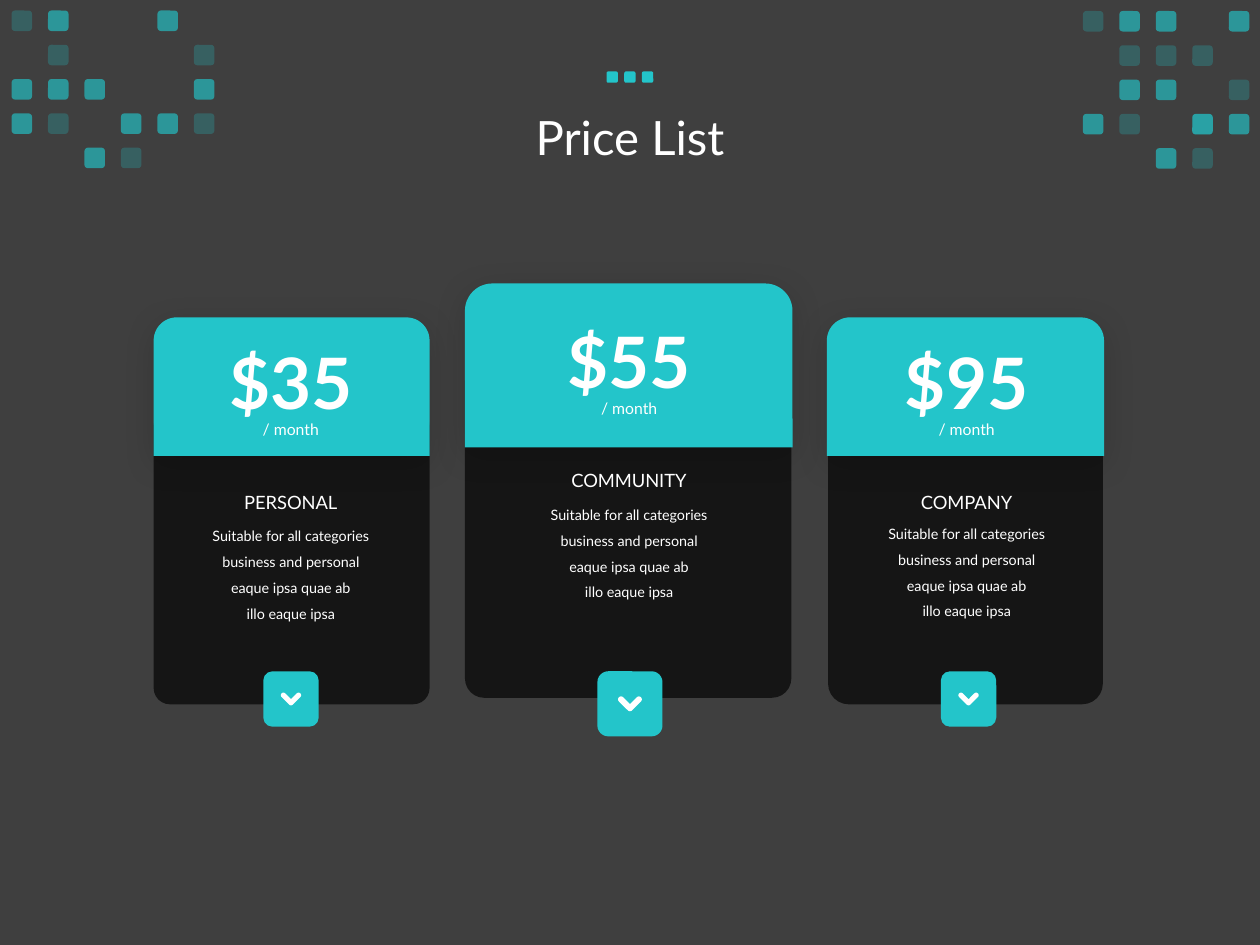
from math import cos, radians, sin, sqrt

from lxml.etree import SubElement
from pptx import Presentation
from pptx.dml.color import RGBColor
from pptx.enum.shapes import MSO_SHAPE as Shape
from pptx.enum.text import MSO_ANCHOR as Anchor, MSO_AUTO_SIZE as AutoSize, PP_ALIGN as Align
from pptx.oxml.ns import qn
from pptx.util import Pt

TEAL, WHITE, BLACK, GREY = "23C5CA", "FFFFFF", "000000", "3F3F3F"
FONT = "Lato"
DESCRIPTION = [
    "Suitable for all categories business and personal",
    "eaque ipsa quae ab",
    "illo eaque ipsa",
]
# s: strong square, f: faint square, b: faint square over a strong one
SHADES = {"s": (65,), "f": (25,), "b": (65, 25), "-": ()}
LEFT_MOSAIC = ["fs--s-", "-f---f", "sss--s", "sf-ssf", "--sf--"]
RIGHT_MOSAIC = ["fss-s", "-fff-", "-ss-f", "sf-bs", "--sf-"]
# panel and header are (left, top, width, height); text_top is the top of the price
CARDS = [
    dict(price="$35", name="PERSONAL", panel=(87.8, 234, 157.7, 168.5),
         header=(87.8, 181.4, 157.7, 79.2), corner=0.059, text_center=166.2,
         text_top=190.1, body_gap=103.7, button_center=166.3, button_size=31.7),
    dict(price="$55", name="COMMUNITY", panel=(265.7, 206.6, 186.5, 192.2),
         header=(265.7, 162, 187.2, 93.6), corner=0.059, text_center=359.5,
         text_top=177.9, body_gap=103.7, button_center=360, button_size=37.2),
    dict(price="$95", name="COMPANY", panel=(473.2, 234, 157, 168.5),
         header=(472.5, 181.4, 158.4, 79.2), corner=0.075, text_center=552.4,
         text_top=190.1, body_gap=102.4, button_center=553.5, button_size=31.7),
]


def color(value):
    return RGBColor.from_string(value)


def paint(shape, fill, opacity=100):
    shape.shadow.inherit = False
    shape.fill.solid()
    shape.fill.fore_color.rgb = color(fill)
    shape.line.fill.background()
    if opacity < 100:
        tone = shape.fill._xPr.find(qn("a:solidFill"))[0]
        SubElement(tone, qn("a:alpha"), val=str(opacity * 1000))


def add_block(parent, kind, frame, fill, opacity=100, corner=None):
    block = parent.shapes.add_shape(kind, *map(Pt, frame))
    paint(block, fill, opacity)
    if corner is not None:
        block.adjustments[0] = corner
    return block


def add_soft_shadow(shape):
    effects = shape._element.spPr.find(qn("a:effectLst"))
    shadow = SubElement(effects, qn("a:outerShdw"), blurRad=str(Pt(19)), dist=str(Pt(4)),
                        dir="5400000", algn="t", rotWithShape="0")
    tone = SubElement(shadow, qn("a:srgbClr"), val=BLACK)
    SubElement(tone, qn("a:alpha"), val="15000")


def add_text(page, frame, lines, size, bold=False, spacing=None, inset=(5.4, 2.7), **frame_format):
    box = page.shapes.add_textbox(*map(Pt, frame)).text_frame
    side, edge = map(Pt, inset)
    box_format = dict(word_wrap=True, auto_size=AutoSize.SHAPE_TO_FIT_TEXT,
                      margin_left=side, margin_right=side, margin_top=edge, margin_bottom=edge)
    for key, value in {**box_format, **frame_format}.items():
        setattr(box, key, value)
    for index, line in enumerate(lines):
        para = box.paragraphs[0] if index == 0 else box.add_paragraph()
        para.alignment = Align.CENTER
        para.line_spacing = spacing
        span = para.add_run()
        span.text = line
        for key, value in dict(name=FONT, size=Pt(size), bold=bold).items():
            setattr(span.font, key, value)
        span.font.color.rgb = color(WHITE)


def add_chevron(page, center_x, center_y, width):
    """Draw a downward chevron with 45-degree arms and round ends."""
    radius, height = width / 8, width * 0.625
    left, top = center_x - width / 2, center_y - height / 2
    low = top + height - radius

    def arc(x, y, start, end):
        return [(x + radius * cos(radians(angle)), y + radius * sin(radians(angle)))
                for angle in range(start, end + 1, 15)]

    points = arc(left + radius, top + radius, 135, 315)
    points.append((center_x, low - radius * sqrt(2)))
    points += arc(left + width - radius, top + radius, 225, 405)
    points += arc(center_x, low, 45, 135)
    points = [(Pt(x), Pt(y)) for x, y in points]
    outline = page.shapes.build_freeform(*points[0])
    outline.add_line_segments(points[1:], close=True)
    paint(outline.convert_to_shape(), WHITE)


def add_mosaic(page, left, top, rows):
    group = page.shapes.add_group_shape()
    for row, marks in enumerate(rows):
        for column, mark in enumerate(marks):
            frame = (left + column * 20.84, top + row * 19.6, 11.7, 11.7)
            for opacity in SHADES[mark]:
                add_block(group, Shape.ROUNDED_RECTANGLE, frame, TEAL, opacity)


def add_title(page):
    add_text(page, (49.7, 28.1, 620.6, 104.4), ["Price List"], 27, spacing=0.9,
             auto_size=AutoSize.NONE, vertical_anchor=Anchor.MIDDLE)
    dots = page.shapes.add_group_shape()
    for index in range(3):
        add_block(dots, Shape.ROUNDED_RECTANGLE, (346.6 + index * 10.1, 40.8, 6.5, 6.5), TEAL)


def add_card(page, card):
    add_block(page, Shape.ROUNDED_RECTANGLE, card["panel"], BLACK, 65, card["corner"])
    add_soft_shadow(add_block(page, Shape.ROUND_2_SAME_RECTANGLE, card["header"], TEAL))

    def centered(gap, width, height):
        return card["text_center"] - width / 2, card["text_top"] + gap, width, height

    add_text(page, centered(0, 92, 56.2), [card["price"]], 40.5, bold=True, inset=(7.2, 3.6))
    add_text(page, centered(41.8, 59.8, 19.4), ["/ month"], 9, spacing=1.5)
    add_text(page, centered(card["body_gap"], 113.8, 63.4), DESCRIPTION, 8.2, spacing=1.5)
    add_text(page, centered(87.8, 103.7, 18), [card["name"]], 10.5)

    center, size, top = card["button_center"], card["button_size"], 383.6
    add_block(page, Shape.ROUNDED_RECTANGLE, (center - size / 2, top, size, size), TEAL)
    add_chevron(page, center, top + size / 2, size * 0.365)


def main():
    deck = Presentation()
    deck.slide_width, deck.slide_height = Pt(720), Pt(540)
    page = deck.slides.add_slide(deck.slide_layouts[6])
    page.background.fill.solid()
    page.background.fill.fore_color.rgb = color(GREY)
    add_title(page)
    for card in CARDS:
        add_card(page, card)
    add_mosaic(page, 6.6, 6, LEFT_MOSAIC)
    add_mosaic(page, 618.8, 6.3, RIGHT_MOSAIC)
    deck.save("out.pptx")


if __name__ == "__main__":
    main()
